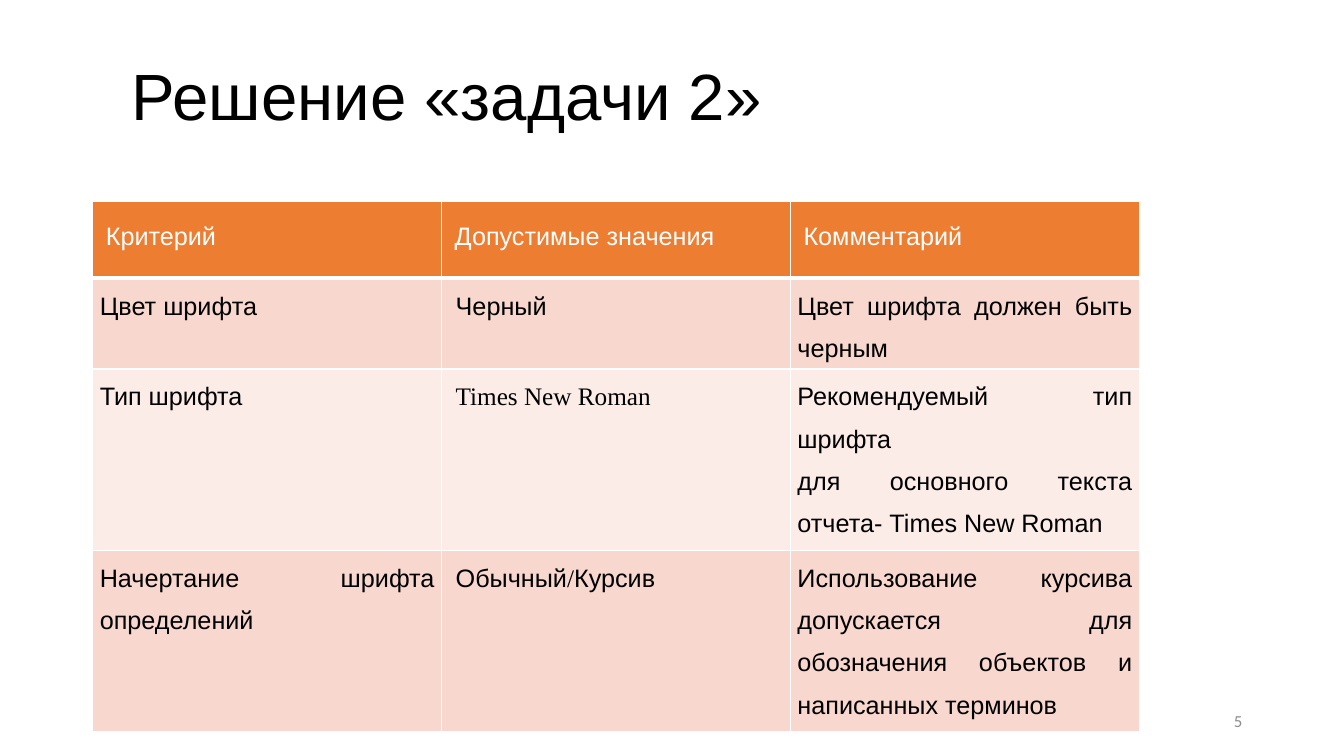
import pptx
import pptx.util
import pptx.dml.color
import pptx.enum.text
import pptx.oxml
import pptx.oxml.ns

Inches = pptx.util.Inches
ALIGN = pptx.enum.text.PP_ALIGN
MIDDLE = pptx.enum.text.MSO_ANCHOR.MIDDLE
C = {"black": "000000", "white": "FFFFFF", "gray": "8C8C8C",
     "header": "ED7D31", "odd": "F8D7CE", "even": "FCECE8"}


def write(tf, text, size=18, font="Arial", color="black", align=ALIGN.LEFT,
          spacing=1.0, anchor=None, other_font=None):
    """Newlines part paragraphs; pieces between | alternate font and other_font."""
    tf.word_wrap = True
    if anchor is not None:
        tf.vertical_anchor = anchor
    for i, line in enumerate(text.split("\n")):
        p = tf.paragraphs[0] if i == 0 else tf.add_paragraph()
        p.alignment, p.line_spacing = align, spacing
        for j, piece in enumerate(line.split("|")):
            if not piece:
                continue
            r = p.add_run()
            r.text = piece
            r.font.name = other_font if j % 2 else font
            r.font.size = pptx.util.Pt(size)
            r.font.bold = False
            r.font.color.rgb = pptx.dml.color.RGBColor.from_string(C[color])


def add_borders(cell, bottom):
    tcPr = cell._tc.get_or_add_tcPr()
    for side, width in (("L", 1), ("R", 1), ("T", 1), ("B", bottom)):
        tcPr.append(pptx.oxml.parse_xml(
            f'<a:ln{side} {pptx.oxml.ns.nsdecls("a")} w="{pptx.util.Pt(width)}">'
            f'<a:solidFill><a:srgbClr val="{C["white"]}"/></a:solidFill></a:ln{side}>'))


prs = pptx.Presentation()
prs.slide_width, prs.slide_height = Inches(13.33), Inches(7.5)
s = prs.slides.add_slide(prs.slide_layouts[6])

# Title
title = s.shapes.add_textbox(Inches(1.21), Inches(0.53), Inches(11.9), Inches(0.91))
write(title.text_frame, "Решение «задачи 2»", size=46.7, spacing=0.9, anchor=MIDDLE)

# Slide number
number = s.shapes.add_textbox(Inches(9.42), Inches(6.95), Inches(3), Inches(0.4))
write(number.text_frame, "5", size=12, font="Calibri", color="gray",
      align=ALIGN.RIGHT, anchor=MIDDLE)

# Criteria table
rows = [
    ["Критерий", "Допустимые значения", "Комментарий"],
    ["Цвет шрифта", "Черный", "Цвет шрифта должен быть черным"],
    ["Тип шрифта", "|Times New Roman|",
     "Рекомендуемый тип шрифта\nдля основного текста отчета- Times New Roman"],
    ["Начертание шрифта определений", "Обычный|/|Курсив",
     "Использование курсива допускается для обозначения объектов и написанных терминов"],
]
heights = [0.76, 0.83, 1.67, 1.67]
table = s.shapes.add_table(len(rows), 3, Inches(0.92), Inches(2),
                           Inches(10.38), Inches(sum(heights))).table
for column in table.columns:
    column.width = Inches(3.46)
for i, texts in enumerate(rows):
    table.rows[i].height = Inches(heights[i])
    head = i == 0
    fill = "header" if head else "odd" if i % 2 else "even"
    for j, text in enumerate(texts):
        cell = table.cell(i, j)
        cell.margin_left = Inches(0.13 if head else 0.14 if j == 1 else 0.07)
        cell.margin_right = Inches(0.13 if head else 0.07)
        cell.margin_top = cell.margin_bottom = Inches(0.07 if head else 0)
        add_borders(cell, bottom=3 if head else 1)
        cell.fill.solid()
        cell.fill.fore_color.rgb = pptx.dml.color.RGBColor.from_string(C[fill])
        write(cell.text_frame, text, color="white" if head else "black",
              align=ALIGN.LEFT if head else ALIGN.JUSTIFY, spacing=1.5,
              other_font="Times New Roman")

prs.save("out.pptx")
